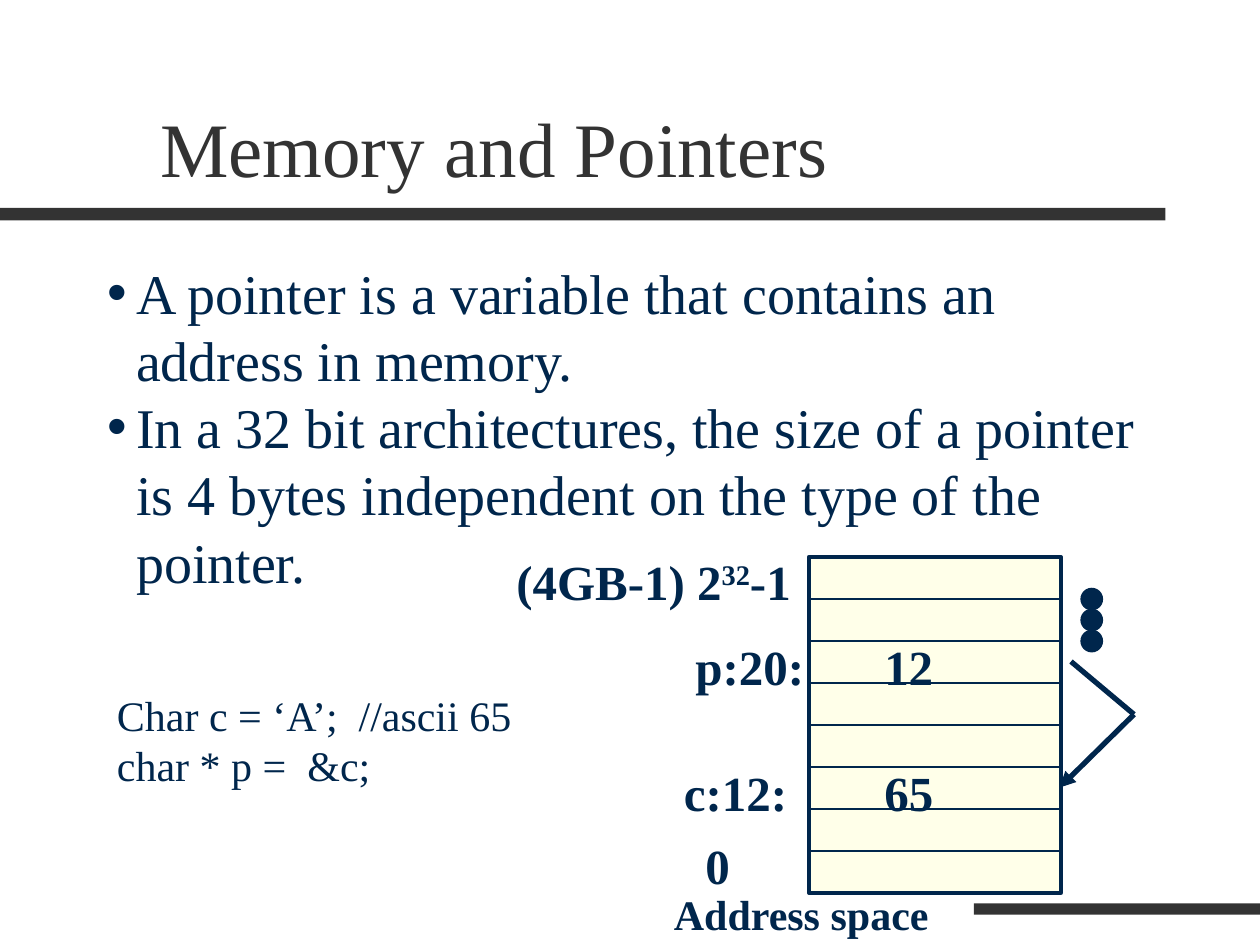
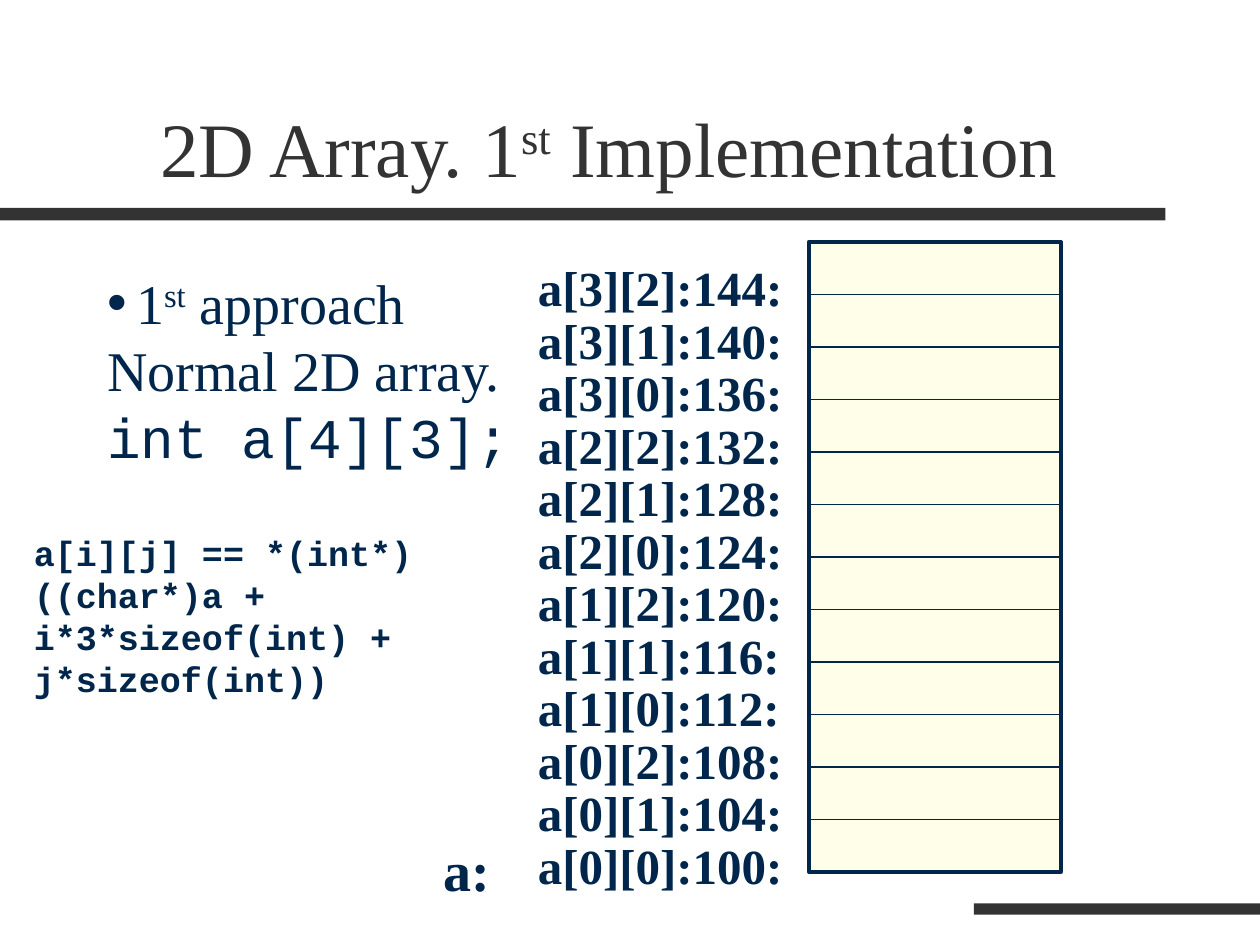
from dataclasses import dataclass

from lxml import etree
from pptx import Presentation, util as u
from pptx.dml.color import RGBColor
from pptx.enum import shapes, text
from pptx.oxml.ns import qn


@dataclass(frozen=True)
class Theme:
    ink: RGBColor = RGBColor.from_string("00264C")
    bar: RGBColor = RGBColor.from_string("333333")
    cell: RGBColor = RGBColor.from_string("FFFFE9")
    serif: str = "Times New Roman"
    mono: str = "Courier New"
    title: int = 44
    body: int = 32
    label: int = 28
    note: int = 24
    code: int = 20


T = Theme()


def write(frame, paras, size, color=T.ink, bold=False, face=T.serif):
    frame.word_wrap = True
    frame.auto_size = text.MSO_AUTO_SIZE.NONE
    for i, runs in enumerate(paras):
        para = frame.add_paragraph() if i else frame.paragraphs[0]
        para.alignment = text.PP_ALIGN.LEFT
        para.line_spacing = u.Pt(size * 1.2)
        para.space_before = u.Pt(0)
        for j, part in enumerate(runs):
            run = para.add_run()
            run.text = part
            font = run.font
            font.name, font.size, font.bold = face, u.Pt(size), bold
            font.color.rgb = color
            if j % 2:
                run._r.get_or_add_rPr().set("baseline", "30000")


def wire(slide, x1, y1, x2, y2, width):
    link = slide.shapes.add_connector(
        shapes.MSO_CONNECTOR.STRAIGHT, *map(u.Inches, (x1, y1, x2, y2)))
    link.line.color.rgb = T.ink
    link.line.width = u.Pt(width)
    etree.SubElement(link.element.spPr, qn("a:effectLst"))
    return link


deck = Presentation()
deck.slide_width, deck.slide_height = u.Inches(10), u.Inches(7.5)
base = deck.slide_layouts[1]

pages = [
    (["Memory and Pointers"], 2,
     [["A pointer is a variable that contains an address in memory."],
      ["In a 32 bit architectures, the size of a pointer is 4 bytes "
       "independent on the type of the pointer."]],
     2, 4.42, 8, 1 / 3, 1),
    (["2D Array. 1", "st", " Implementation"], 2.08,
     [["1", "st", " approach"], ["Normal 2D array."], ["int a[4][3];"]],
     1, 1.92, 12, 5 / 12, 0),
]

left, wide = 6.42, 2
slides = []
for head, y, items, dots, top, rows, step, first in pages:
    slide = deck.slides.add_slide(base)
    slides.append(slide)
    title, body = slide.placeholders
    for box, spot in ((title, (1.17, 0.33, 8.5, 1.25)), (body, (0.75, y, 8.5, 4.58))):
        box.left, box.top, box.width, box.height = map(u.Inches, spot)
    title.text_frame.vertical_anchor = text.MSO_ANCHOR.BOTTOM
    write(title.text_frame, [head], T.title, T.bar)
    write(body.text_frame, items, T.body)
    for i, para in enumerate(body.text_frame.paragraphs):
        props = para._p.get_or_add_pPr()
        dent = u.Inches(0.23) if i < dots else 0
        props.set("marL", str(dent))
        props.set("indent", str(-dent))
        if i < dots:
            etree.SubElement(props, qn("a:buChar"), char="•")
        else:
            etree.SubElement(props, qn("a:buNone"))

    block = slide.shapes.add_shape(
        shapes.MSO_SHAPE.RECTANGLE, *map(u.Inches, (left, top, wide, rows * step)))
    block.shadow.inherit = False
    block.fill.solid()
    block.fill.fore_color.rgb = T.cell
    block.line.color.rgb = T.ink
    block.line.width = u.Pt(2.25)
    for i in range(first, rows):
        wire(slide, left, top + i * step, left + wide, top + i * step, 0.75)

mem, grid = slides
grid.placeholders[1].text_frame.paragraphs[2].runs[0].font.name = T.mono

for spot in ((0, 1.65, 9.25, 0.1), (7.73, 7.17, 2.27, 0.09)):
    bar = mem.shapes.add_shape(shapes.MSO_SHAPE.RECTANGLE, *map(u.Inches, spot))
    bar.shadow.inherit = False
    bar.fill.solid()
    bar.fill.fore_color.rgb = T.bar
    bar.line.fill.background()
    base.shapes.element.append(bar.element)

labels = [
    (mem, 5.5, 6.58, 0.83, 0.57, [["0"]], T.label, True, T.serif),
    (mem, 4, 4.33, 2.75, 0.57, [["(4GB-1) 2", "32", "-1"]], T.label, True, T.serif),
    (mem, 5.25, 7, 3.83, 0.5, [["Address space"]], T.note, True, T.serif),
    (mem, 5.42, 5, 1.08, 0.57, [["p:20:"]], T.label, True, T.serif),
    (mem, 6.92, 5, 0.83, 0.57, [["12"]], T.label, True, T.serif),
    (mem, 0.83, 5.42, 3.92, 1.11,
     [["Char c = ‘A’;  //ascii 65"], ["char * p =  &c;"]], T.note, False, T.serif),
    (mem, 5.33, 6, 1.08, 0.57, [["c:12:"]], T.label, True, T.serif),
    (mem, 6.92, 6, 1.08, 0.57, [["65"]], T.label, True, T.serif),
    (grid, 3.42, 6.58, 1, 0.64, [["a:"]], T.body, True, T.serif),
    (grid, 0.17, 4.17, 4.08, 1.44,
     [["a[i][j] == *(int*)((char*)a + i*3*sizeof(int) + j*sizeof(int))"]],
     T.code, True, T.mono),
]
for i in range(12):
    row, col = divmod(i, 3)
    labels.append((grid, 4.17, 6.58 - i * 5 / 12, 2.42, 0.57,
                   [[f"a[{row}][{col}]:{100 + 4 * i}:"]], T.label, True, T.serif))

for slide, x, y, w, h, paras, size, bold, face in labels:
    box = slide.shapes.add_textbox(*map(u.Inches, (x, y, w, h)))
    write(box.text_frame, paras, size, bold=bold, face=face)

wire(mem, 8.5, 5.25, 9, 5.67, 3)
arrow = wire(mem, 9, 5.67, 8.41, 6.25, 3)
etree.SubElement(arrow.line._get_or_add_ln(), qn("a:tailEnd"), type="triangle")

for i in range(3):
    dot = mem.shapes.add_shape(
        shapes.MSO_SHAPE.OVAL, *map(u.Inches, (8.58, 4.67 + i / 6, 0.17, 0.17)))
    dot.shadow.inherit = False
    dot.fill.solid()
    dot.fill.fore_color.rgb = T.ink
    dot.line.color.rgb = T.ink
    dot.line.width = u.Pt(0.75)

deck.save("out.pptx")
